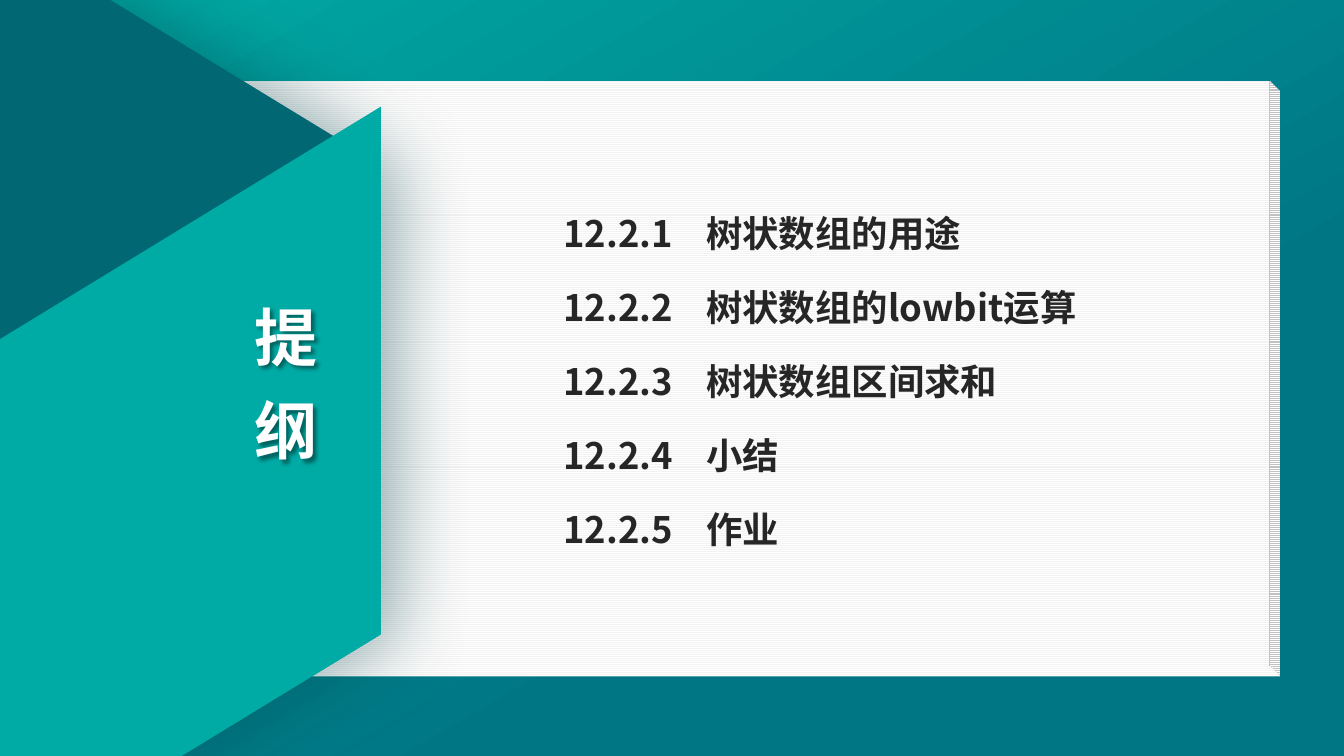
from dataclasses import dataclass

from lxml import etree
from pptx import Presentation
from pptx.dml.color import RGBColor
from pptx.dml.fill import FillFormat
from pptx.enum.dml import MSO_PATTERN
from pptx.enum.shapes import MSO_SHAPE
from pptx.enum.text import PP_ALIGN
from pptx.oxml.ns import qn
from pptx.shapes.autoshape import Shape
from pptx.slide import Slide
from pptx.util import Pt

CUBE = MSO_SHAPE.CUBE
HEXAGON = MSO_SHAPE.HEXAGON
PARALLELOGRAM = MSO_SHAPE.PARALLELOGRAM
RULED = MSO_PATTERN.LIGHT_HORIZONTAL
LEFT, CENTER = PP_ALIGN.LEFT, PP_ALIGN.CENTER


@dataclass(frozen=True)
class Theme:
    font: str = "Noto Sans CJK SC"
    teal: str = "00ABA5"
    deep_teal: str = "007684"
    dark_teal: str = "016773"
    teal_shadow: str = "013F45"
    rule: str = "F2F2F2"
    white: str = "FFFFFF"
    black: str = "000000"
    ink: str = "262626"
    title_size: float = 45
    item_size: float = 26


@dataclass(frozen=True)
class Box:
    left: float
    top: float
    width: float
    height: float

    def lengths(self) -> tuple[Pt, Pt, Pt, Pt]:
        return Pt(self.left), Pt(self.top), Pt(self.width), Pt(self.height)


@dataclass(frozen=True)
class Panel:
    kind: MSO_SHAPE
    box: Box
    adjustment: float
    rotation: float = 0


@dataclass(frozen=True)
class Shadow:
    color: str
    alpha: int
    blur: float
    distance: float
    angle: int


THEME = Theme()
BOOK = Panel(CUBE, Box(0, 57.6, 914.4, 425.5), 0.018)
BACK_FOLD = Panel(HEXAGON, Box(-447.1, -56.9, 753.1, 684.7), 0.305, 90)
FRONT_FOLD = Panel(PARALLELOGRAM, Box(-197.3, 208.1, 596.9, 321.8), 0.61, 328.6)
FOLD_SHADOW = Shadow(THEME.teal_shadow, 40, 55, 13, 0)
TITLE_SHADOW = Shadow(THEME.black, 43, 3, 3, 45)
TITLE_BOX = Box(172, 200, 64, 134)
TITLE_PITCH = 67
ITEMS_BOX = Box(395.3, 135.4, 425.5, 264.2)
ITEM_TAB = 102
ITEMS = ["树状数组的用途", "树状数组的lowbit运算", "树状数组区间求和", "小结", "作业"]


def rgb(color: str) -> RGBColor:
    return RGBColor.from_string(color)


def set_gradient(fill: FillFormat, stops: list[tuple[float, str]], angle: float) -> None:
    """Fill with two stops; the angle runs counter-clockwise."""
    fill.gradient()
    fill.gradient_angle = angle
    for stop, (position, color) in zip(fill.gradient_stops, stops):
        stop.position = position
        stop.color.rgb = rgb(color)


def add_shadow(s: Shape, shadow: Shadow) -> None:
    s.shadow.inherit = False
    effects = s.element.spPr.find(qn("a:effectLst"))
    outer = etree.SubElement(
        effects, qn("a:outerShdw"),
        blurRad=str(Pt(shadow.blur)), dist=str(Pt(shadow.distance)),
        dir=str(shadow.angle * 60000), algn="ctr", rotWithShape="0")
    color = etree.SubElement(outer, qn("a:srgbClr"), val=shadow.color)
    etree.SubElement(color, qn("a:alpha"), val=str(shadow.alpha * 1000))


def add_panel(slide: Slide, panel: Panel) -> Shape:
    s = slide.shapes.add_shape(panel.kind, *panel.box.lengths())
    s.adjustments[0] = panel.adjustment
    s.rotation = panel.rotation
    s.line.fill.background()
    s.shadow.inherit = False
    return s


def add_text(slide: Slide, box: Box, lines: list[str], *, size: float, color: str,
             align: PP_ALIGN = LEFT, spacing: float | Pt = 1.0,
             before: float = 0, inset: float = 0, tab: float = 0) -> Shape:
    s = slide.shapes.add_textbox(*box.lengths())
    tf = s.text_frame
    tf.word_wrap = True
    tf.margin_left = tf.margin_right = Pt(inset)
    tf.margin_top = tf.margin_bottom = 0
    for i, line in enumerate(lines):
        p = tf.paragraphs[0] if i == 0 else tf.add_paragraph()
        p.alignment = align
        p.line_spacing = spacing
        p.space_before = Pt(before)
        if tab:
            tabs = etree.SubElement(p._p.get_or_add_pPr(), qn("a:tabLst"))
            etree.SubElement(tabs, qn("a:tab"), pos=str(Pt(tab)), algn="l")
        r = p.add_run()
        r.text = line
        r.font.name = THEME.font
        r.font.size = Pt(size)
        r.font.bold = True
        r.font.color.rgb = rgb(color)
        etree.SubElement(r.font._element, qn("a:ea"), typeface=THEME.font)
    return s


def main() -> None:
    prs = Presentation()
    prs.slide_width, prs.slide_height = Pt(960), Pt(540)
    slide = prs.slides.add_slide(prs.slide_layouts[6])
    set_gradient(slide.background.fill,
                 [(0, THEME.teal), (0.67, THEME.deep_teal)], 300)

    book = add_panel(slide, BOOK)
    book.element.spPr.xfrm.set("flipV", "1")
    book.fill.patterned()
    book.fill.pattern = RULED
    book.fill.fore_color.rgb = rgb(THEME.rule)
    book.fill.back_color.rgb = rgb(THEME.white)

    back_fold = add_panel(slide, BACK_FOLD)
    set_gradient(back_fold.fill,
                 [(0.77, THEME.dark_teal), (1, THEME.deep_teal)], 270)
    add_shadow(back_fold, FOLD_SHADOW)

    front_fold = add_panel(slide, FRONT_FOLD)
    front_fold.fill.solid()
    front_fold.fill.fore_color.rgb = rgb(THEME.teal)

    title = add_text(slide, TITLE_BOX, list("提纲"), size=THEME.title_size,
                     color=THEME.white, align=CENTER, spacing=Pt(TITLE_PITCH))
    add_shadow(title, TITLE_SHADOW)

    items = [f"12.2.{n}\t{name}" for n, name in enumerate(ITEMS, 1)]
    add_text(slide, ITEMS_BOX, items, size=THEME.item_size, color=THEME.ink,
             spacing=1.5, before=6, inset=7.2, tab=ITEM_TAB)
    prs.save("out.pptx")


if __name__ == "__main__":
    main()
